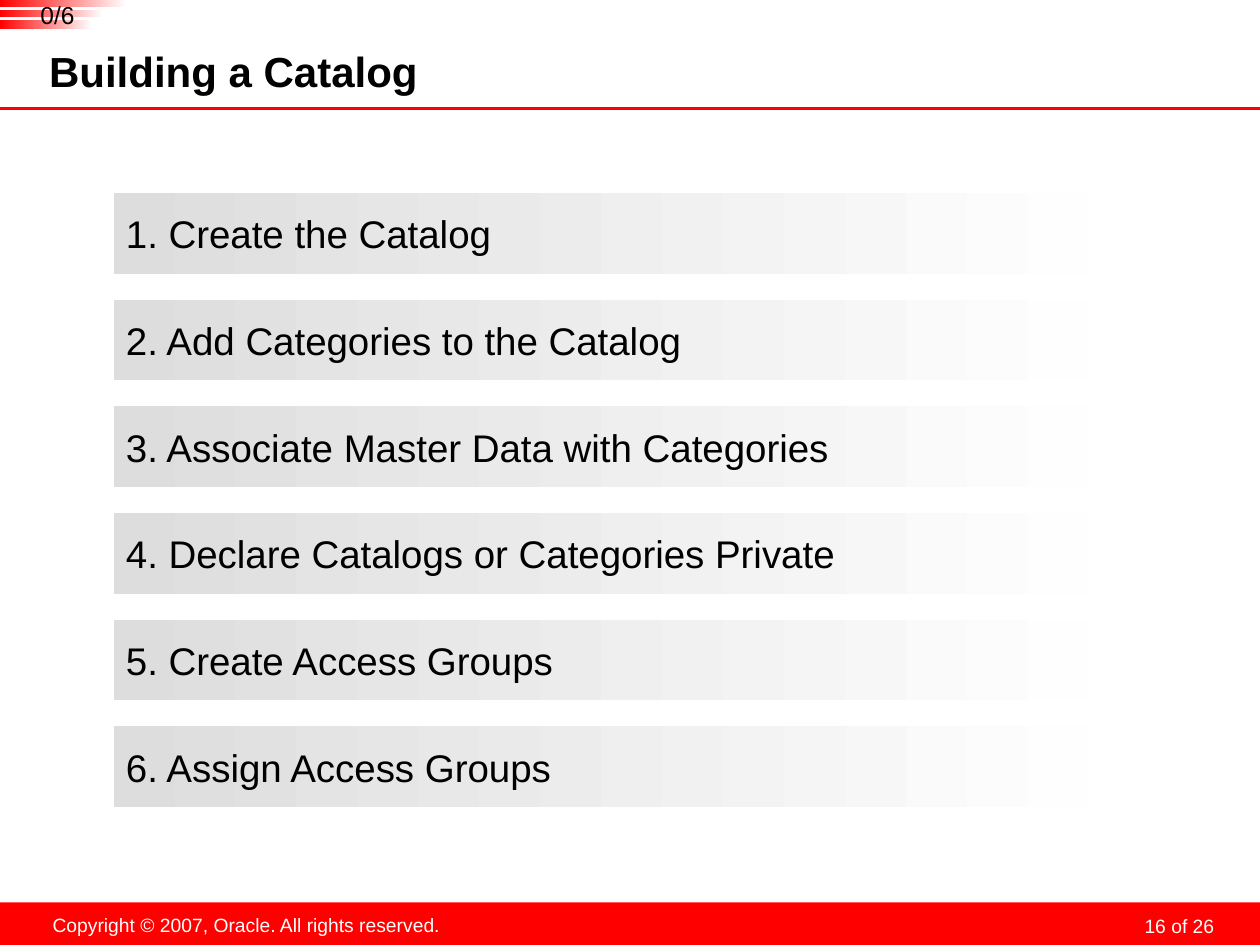
from lxml import etree
from pptx import Presentation
from pptx.dml.color import RGBColor
from pptx.enum.shapes import MSO_CONNECTOR, MSO_SHAPE
from pptx.enum.text import MSO_ANCHOR, PP_ALIGN
from pptx.oxml.ns import qn
from pptx.util import Cm, Pt

RECTANGLE = MSO_SHAPE.RECTANGLE
STRAIGHT = MSO_CONNECTOR.STRAIGHT
TOP, MIDDLE = MSO_ANCHOR.TOP, MSO_ANCHOR.MIDDLE
LEFT, CENTER, RIGHT = PP_ALIGN.LEFT, PP_ALIGN.CENTER, PP_ALIGN.RIGHT
TITLE_ONLY = 5

RED, WHITE, BLACK = "FF0000", "FFFFFF", "000000"
STEP_FADE = ("FEFEFE", "DDDDDD")
STRIPE_FADE = (WHITE, RED)

STEPS = [
    "1. Create the Catalog",
    "2. Add Categories to the Catalog",
    "3. Associate Master Data with Categories",
    "4. Declare Catalogs or Categories Private",
    "5. Create Access Groups",
    "6. Assign Access Groups",
]
STEP_TOP, STEP_PITCH = 3.89, 2.15
STRIPES = [(0, 2.57, 0.15), (0.2, 2.08, 0.15), (0.41, 1.85, 0.18)]


def color(value):
    return RGBColor.from_string(value)


def assign(target, values):
    for name, value in values.items():
        setattr(target, name, value)


class SlideBuilder:
    font_name = "Arial"

    def __init__(self, slide):
        self.slide = slide
        self.shapes = slide.shapes

    def set_text(self, shape, text, size, ink=BLACK, bold=False, align=LEFT,
                 anchor=TOP, insets=(0, 0, 0, 0), wrap=True, line_spacing=None):
        frame = shape.text_frame
        left, top, right, bottom = map(Cm, insets)
        assign(frame, {
            "text": text, "word_wrap": wrap, "vertical_anchor": anchor,
            "margin_left": left, "margin_top": top,
            "margin_right": right, "margin_bottom": bottom,
        })
        paragraph = frame.paragraphs[0]
        assign(paragraph, {"alignment": align, "line_spacing": line_spacing})
        font = paragraph.runs[0].font
        assign(font, {"name": self.font_name, "size": Pt(size), "bold": bold})
        font.color.rgb = color(ink)

    def title(self, text, left, top, width, height, **style):
        heading = self.shapes.title
        assign(heading, {"left": Cm(left), "top": Cm(top),
                         "width": Cm(width), "height": Cm(height)})
        self.set_text(heading, text, **style)

    def label(self, text, left, top, width, height, **style):
        box = self.shapes.add_textbox(Cm(left), Cm(top), Cm(width), Cm(height))
        self.set_text(box, text, **style)

    def bar(self, left, top, width, height, fill=None, fade=None):
        bar = self.shapes.add_shape(RECTANGLE, Cm(left), Cm(top), Cm(width), Cm(height))
        bar.shadow.inherit = False
        bar.line.fill.background()
        if fade:
            bar.fill.gradient()
            bar.fill.gradient_angle = 180
            for stop, shade in zip(bar.fill.gradient_stops, fade):
                stop.color.rgb = color(shade)
        else:
            bar.fill.solid()
            bar.fill.fore_color.rgb = color(fill)
        return bar

    def rule(self, left, right, y, ink, weight):
        rule = self.shapes.add_connector(STRAIGHT, Cm(left), Cm(y), Cm(right), Cm(y))
        rule.line.color.rgb = color(ink)
        rule.line.width = Pt(weight)
        etree.SubElement(rule._element.spPr, qn("a:effectLst"))


def main():
    deck = Presentation()
    assign(deck, {"slide_width": Cm(25.4), "slide_height": Cm(19.05)})
    page = SlideBuilder(deck.slides.add_slide(deck.slide_layouts[TITLE_ONLY]))

    page.bar(0, 18.19, 25.4, 0.86, fill=RED)
    page.label("16 of 26", 18.69, 18.26, 5.92, 0.64, size=11, ink=WHITE, align=RIGHT,
               insets=(0.13, 0, 0.13, 0), line_spacing=Pt(18))
    page.label("Copyright © 2007, Oracle. All rights reserved.", 0.79, 18.29, 8.36, 0.74,
               size=11, ink=WHITE, align=CENTER, insets=(0.25, 0.13, 0.25, 0.13), wrap=False)
    page.rule(0, 25.4, 2.18, RED, 1.75)

    page.title("Building a Catalog", 0.99, 0.97, 19.99, 1.02, size=24, bold=True,
               anchor=MIDDLE, insets=(0, 0, 0.13, 0.13))

    for top, width, height in STRIPES:
        page.bar(0, top, width, height, fade=STRIPE_FADE)
    page.label("0/6", 0.51, 0, 1.3, 0.58, size=14, align=CENTER)

    for index, step in enumerate(STEPS):
        row = page.bar(2.29, STEP_TOP + index * STEP_PITCH, 19.66, 1.63, fade=STEP_FADE)
        page.set_text(row, step, size=22, anchor=MIDDLE,
                      insets=(0.25, 0.13, 0.25, 0.13), wrap=False)

    deck.save("out.pptx")


if __name__ == "__main__":
    main()
